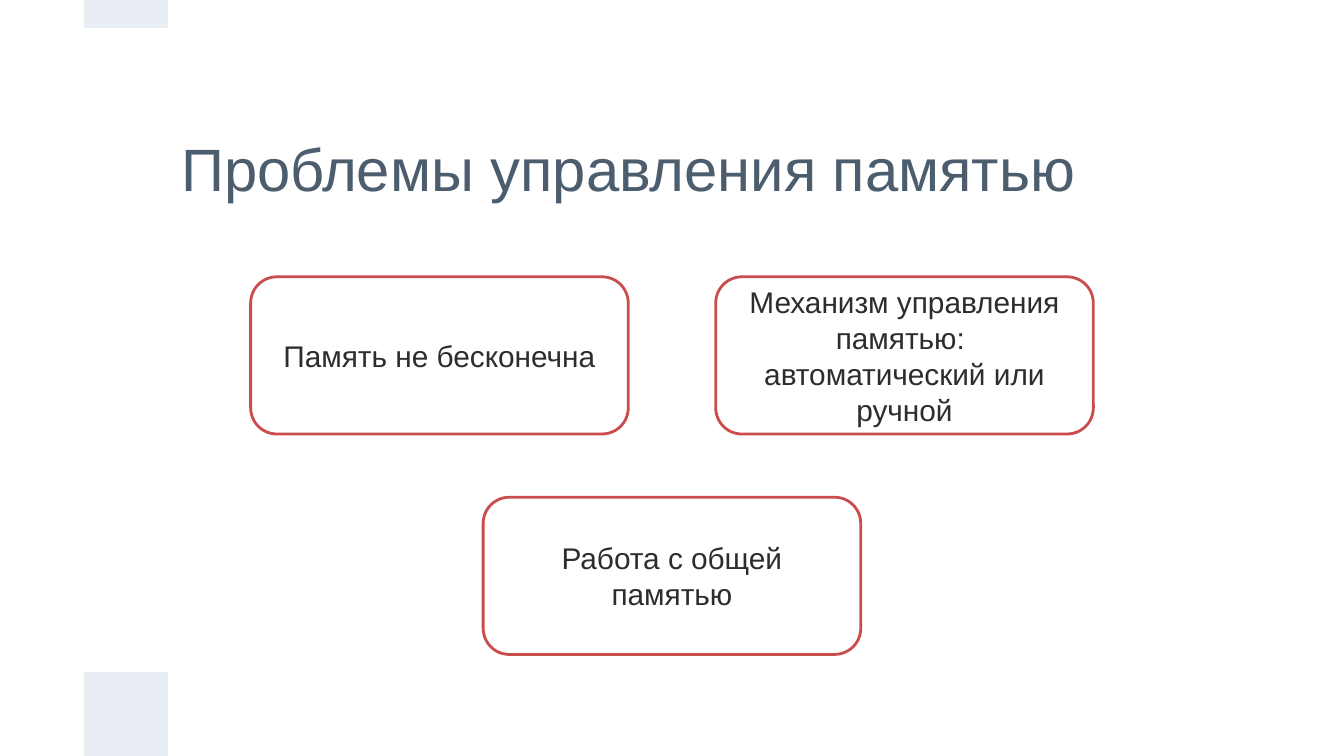
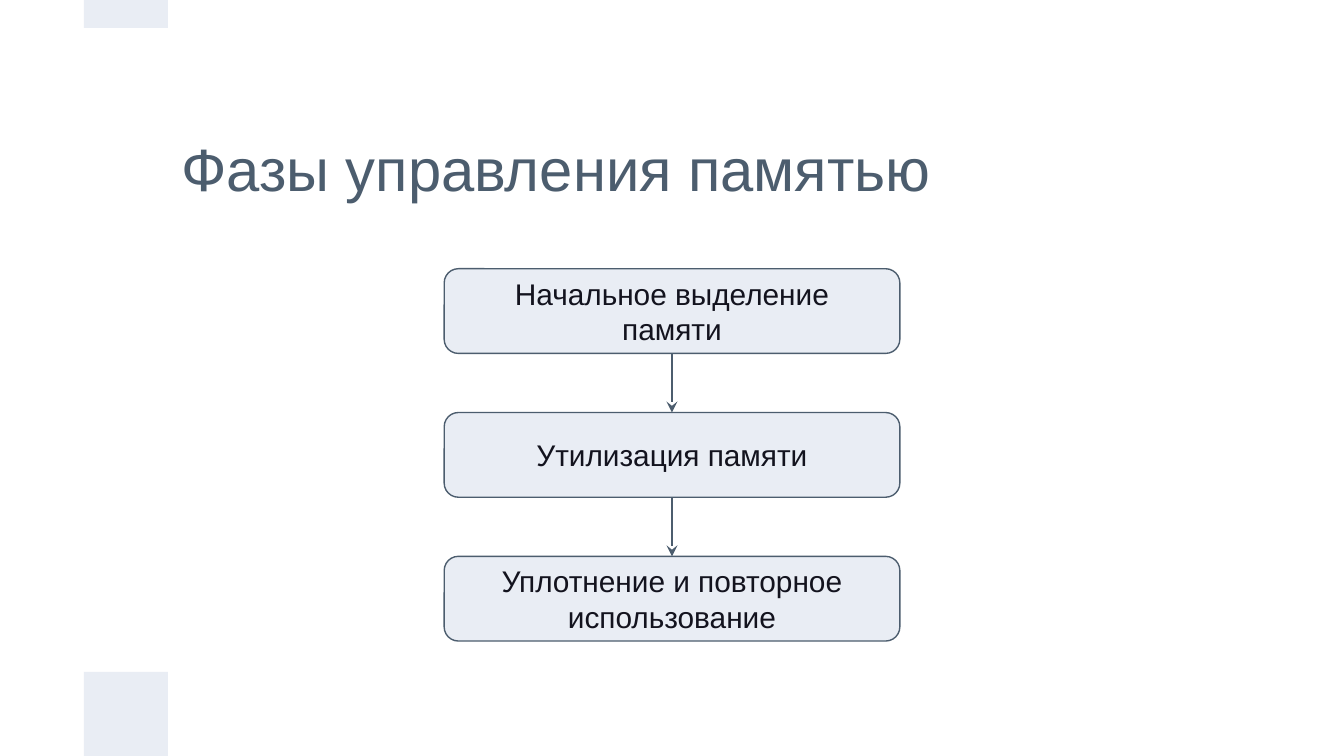
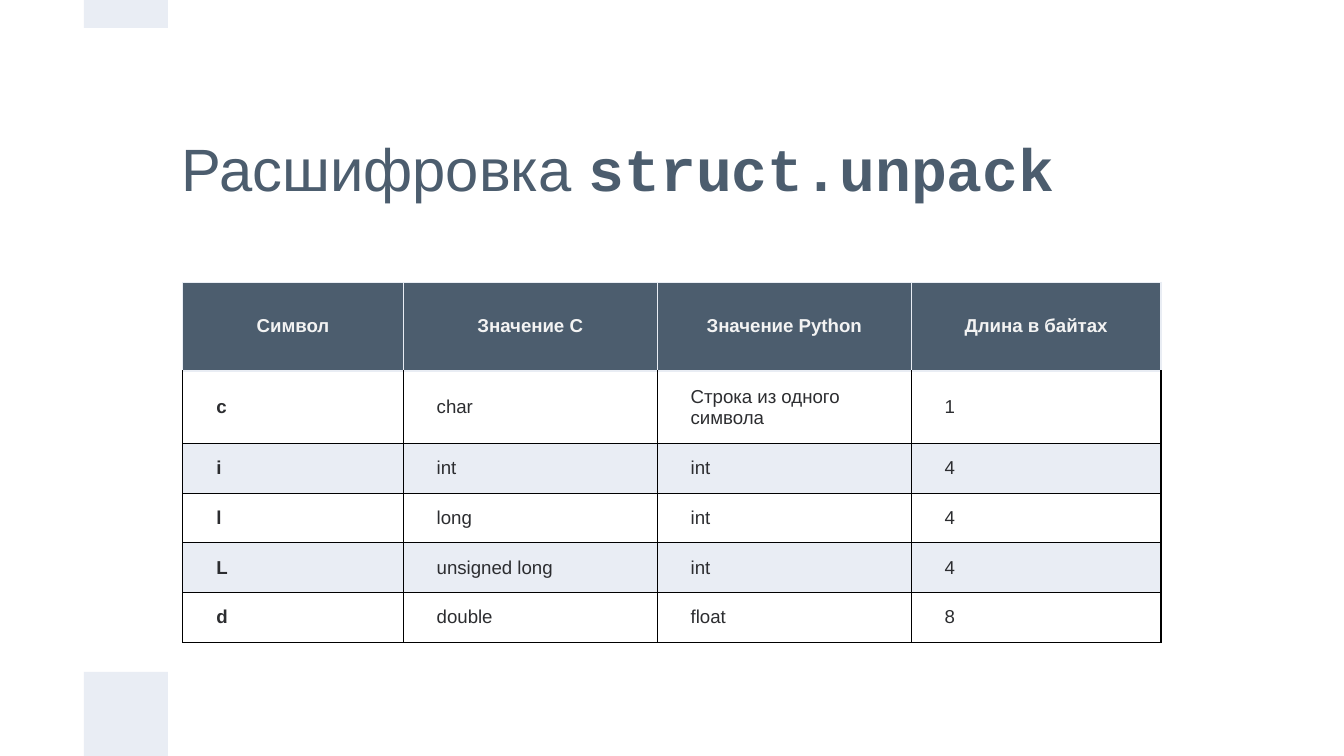
from dataclasses import dataclass
from typing import Optional

from lxml.etree import SubElement
from pptx import Presentation
from pptx.dml.color import RGBColor
from pptx.enum.shapes import MSO_CONNECTOR, MSO_SHAPE
from pptx.enum.text import MSO_ANCHOR, PP_ALIGN
from pptx.oxml.ns import qn
from pptx.util import Inches, Pt

# Shared look
SLIDE_WIDTH = 10
SLIDE_HEIGHT = SLIDE_WIDTH * 9 / 16
BAND_SIDE = SLIDE_WIDTH / 16
SLATE, MIST, RED = "4C5D6E", "E9EDF4", "C94D4C"
CHARCOAL, INK, SNOW, BLACK = "2C2D30", "13131E", "F3F3F3", "000000"
SANS, MONO = "Arial", "Courier New"
THIN = 0.75


@dataclass(frozen=True)
class Style:
    size: float
    color: str
    font: str = SANS
    bold: bool = False


@dataclass(frozen=True)
class BoxStyle:
    width: float
    height: float
    text: Style
    line: str
    line_width: float
    fill: Optional[str] = None


TITLE = Style(32, SLATE)
TITLE_CODE = Style(32, SLATE, MONO, True)
PROBLEM = BoxStyle(2.81, 1.17, Style(16, CHARCOAL), RED, 1.5)
PHASE = BoxStyle(3.39, 0.63, Style(16, INK), SLATE, THIN, MIST)
HEADER = Style(10, SNOW, bold=True)
SYMBOL = Style(10, CHARCOAL, bold=True)
VALUE = Style(10, CHARCOAL)


def rgb(color: str) -> RGBColor:
    return RGBColor.from_string(color)


def paint(fill, color: Optional[str]) -> None:
    if color:
        fill.solid()
        fill.fore_color.rgb = rgb(color)
    else:
        fill.background()


def add_run(paragraph, text: str, style: Style) -> None:
    run = paragraph.add_run()
    run.text = text
    run.font.size = Pt(style.size)
    run.font.name = style.font
    run.font.bold = style.bold
    run.font.color.rgb = rgb(style.color)


def set_margins(holder, side: float, edge: float) -> None:
    holder.margin_left = holder.margin_right = Inches(side)
    holder.margin_top = holder.margin_bottom = Inches(edge)


def add_band(slide, top: float, height: float) -> None:
    band = slide.shapes.add_shape(
        MSO_SHAPE.RECTANGLE, Inches(BAND_SIDE), Inches(top), Inches(BAND_SIDE), Inches(height))
    band.shadow.inherit = False
    paint(band.fill, MIST)
    band.line.fill.background()


def add_slide(deck, *title_parts: tuple[str, Style]):
    """Blank slide with both bands and the title."""
    slide = deck.slides.add_slide(deck.slide_layouts[6])
    add_band(slide, SLIDE_HEIGHT - BAND_SIDE, BAND_SIDE)
    add_band(slide, 0, BAND_SIDE / 3)
    title = slide.shapes.add_textbox(
        Inches(2 * BAND_SIDE), Inches(BAND_SIDE), Inches(7.5), Inches(1.25)).text_frame
    title.word_wrap = True
    title.vertical_anchor = MSO_ANCHOR.MIDDLE
    set_margins(title, 0.1, 0.1)
    for text, style in title_parts:
        add_run(title.paragraphs[0], text, style)
    return slide


def add_box(slide, left: float, top: float, lines: list[str], style: BoxStyle):
    box = slide.shapes.add_shape(
        MSO_SHAPE.ROUNDED_RECTANGLE,
        Inches(left), Inches(top), Inches(style.width), Inches(style.height))
    box.shadow.inherit = False
    paint(box.fill, style.fill)
    box.line.color.rgb = rgb(style.line)
    box.line.width = Pt(style.line_width)
    frame = box.text_frame
    frame.word_wrap = True
    frame.vertical_anchor = MSO_ANCHOR.MIDDLE
    set_margins(frame, 0.1, 0.05)
    for index, line in enumerate(lines):
        paragraph = frame.add_paragraph() if index else frame.paragraphs[0]
        paragraph.alignment = PP_ALIGN.CENTER
        add_run(paragraph, line, style.text)
    return box


def add_arrow(slide, upper, lower) -> None:
    """Arrow from the bottom of one box to the top of the next."""
    arrow = slide.shapes.add_connector(MSO_CONNECTOR.STRAIGHT, 0, 0, 0, 0)
    arrow.begin_connect(upper, 2)
    arrow.end_connect(lower, 0)
    arrow.line.color.rgb = rgb(SLATE)
    arrow.line.width = Pt(THIN)
    SubElement(arrow.line._get_or_add_ln(), qn("a:tailEnd"), type="stealth")
    SubElement(arrow._element.spPr, qn("a:effectLst"))


def set_borders(cell, colors: dict[str, str]) -> None:
    properties = cell._tc.get_or_add_tcPr()
    for side in "LRTB":
        line = SubElement(properties, qn(f"a:ln{side}"), w=str(Pt(THIN)))
        SubElement(SubElement(line, qn("a:solidFill")), qn("a:srgbClr"), val=colors[side])


def fill_cell(cell, text: str, style: Style, fill: Optional[str],
              borders: dict[str, str], alignment: PP_ALIGN) -> None:
    set_borders(cell, borders)  # borders must precede the fill
    paint(cell.fill, fill)
    cell.vertical_anchor = MSO_ANCHOR.MIDDLE
    set_margins(cell, 0.25, 0.06)
    paragraph = cell.text_frame.paragraphs[0]
    paragraph.alignment = alignment
    add_run(paragraph, text, style)


def build_problems(deck) -> None:
    slide = add_slide(deck, ("Проблемы управления памятью", TITLE))
    gap, top, pitch = 0.65, 2.06, 1.64
    rows = [
        [["Память не бесконечна"],
         ["Механизм управления памятью: ", "автоматический или ручной"]],
        [["Работа с общей памятью"]],
    ]
    for row, problems in enumerate(rows):
        step = PROBLEM.width + gap
        left = (SLIDE_WIDTH - len(problems) * step + gap) / 2
        for column, lines in enumerate(problems):
            add_box(slide, left + column * step, top + row * pitch, lines, PROBLEM)


def build_phases(deck) -> None:
    slide = add_slide(deck, ("Фазы управления памятью", TITLE))
    phases = ["Начальное выделение памяти", "Утилизация памяти",
              "Уплотнение и повторное использование"]
    left = (SLIDE_WIDTH - PHASE.width) / 2
    boxes = [add_box(slide, left, 2 + 1.07 * index, [phase], PHASE)
             for index, phase in enumerate(phases)]
    for upper, lower in zip(boxes, boxes[1:]):
        add_arrow(slide, upper, lower)


def build_formats(deck) -> None:
    slide = add_slide(deck, ("Расшифровка ", TITLE), ("struct.unpack", TITLE_CODE))
    formats = [
        ("Символ", "Значение C", "Значение Python", "Длина в байтах"),
        ("c", "char", "Строка из одного символа", "1"),
        ("i", "int", "int", "4"),
        ("l", "long", "int", "4"),
        ("L", "unsigned long", "int", "4"),
        ("d", "double", "float", "8"),
    ]
    widths = [1.64, 1.89, 1.89, 1.86]
    heights = [0.66, 0.54] + [0.37] * 4
    table = slide.shapes.add_table(
        len(heights), len(widths), Inches(1.36), Inches(2.1),
        Inches(sum(widths)), Inches(sum(heights))).table
    table.horz_banding = False
    for column, width in zip(table.columns, widths):
        column.width = Inches(width)
    for row, height in zip(table.rows, heights):
        row.height = Inches(height)

    header_borders = dict.fromkeys("LRTB", MIST)
    body_borders = dict.fromkeys("LRTB", BLACK)
    for row, texts in enumerate(formats):
        for column, text in enumerate(texts):
            cell = table.cell(row, column)
            if row == 0:
                fill_cell(cell, text, HEADER, SLATE, header_borders, PP_ALIGN.CENTER)
                continue
            borders = body_borders | {"T": MIST} if row == 1 else body_borders
            style = VALUE if column else SYMBOL
            fill_cell(cell, text, style, None if row % 2 else MIST, borders, PP_ALIGN.LEFT)


def main() -> None:
    deck = Presentation()
    deck.slide_width = Inches(SLIDE_WIDTH)
    deck.slide_height = Inches(SLIDE_HEIGHT)
    build_problems(deck)
    build_phases(deck)
    build_formats(deck)
    deck.save("out.pptx")


if __name__ == "__main__":
    main()
